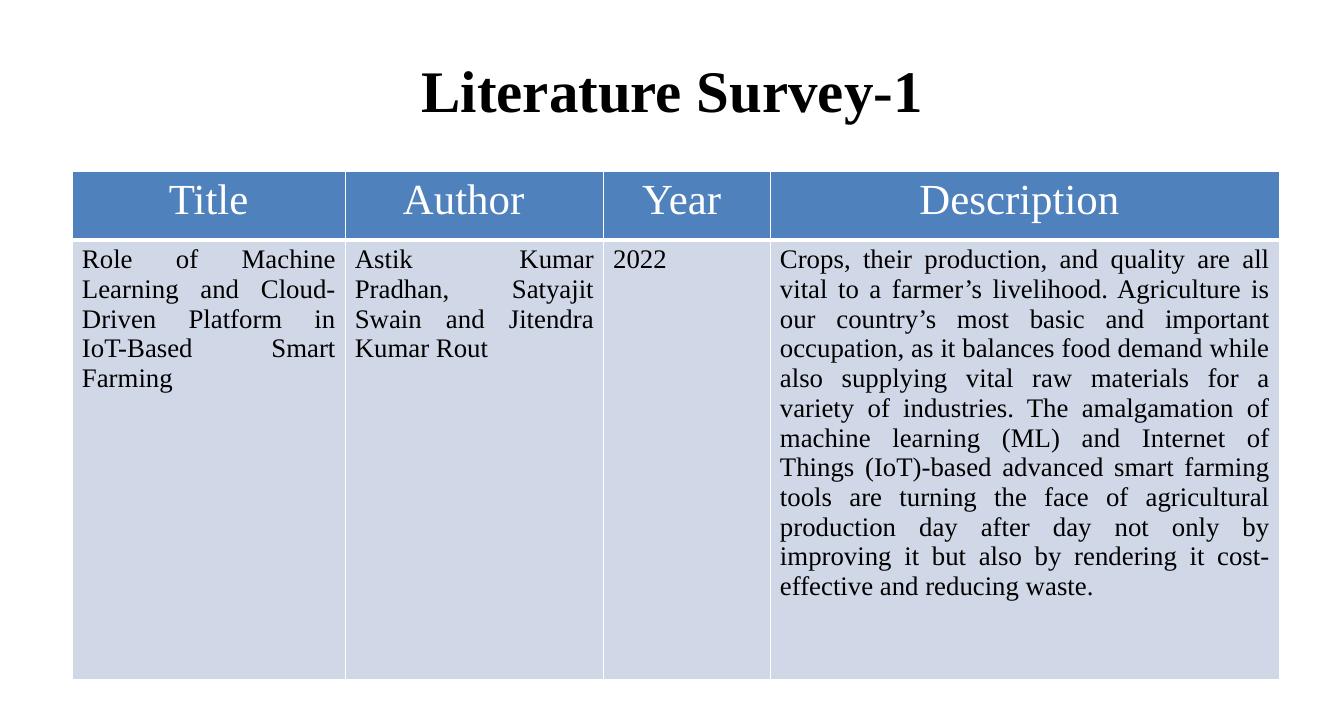
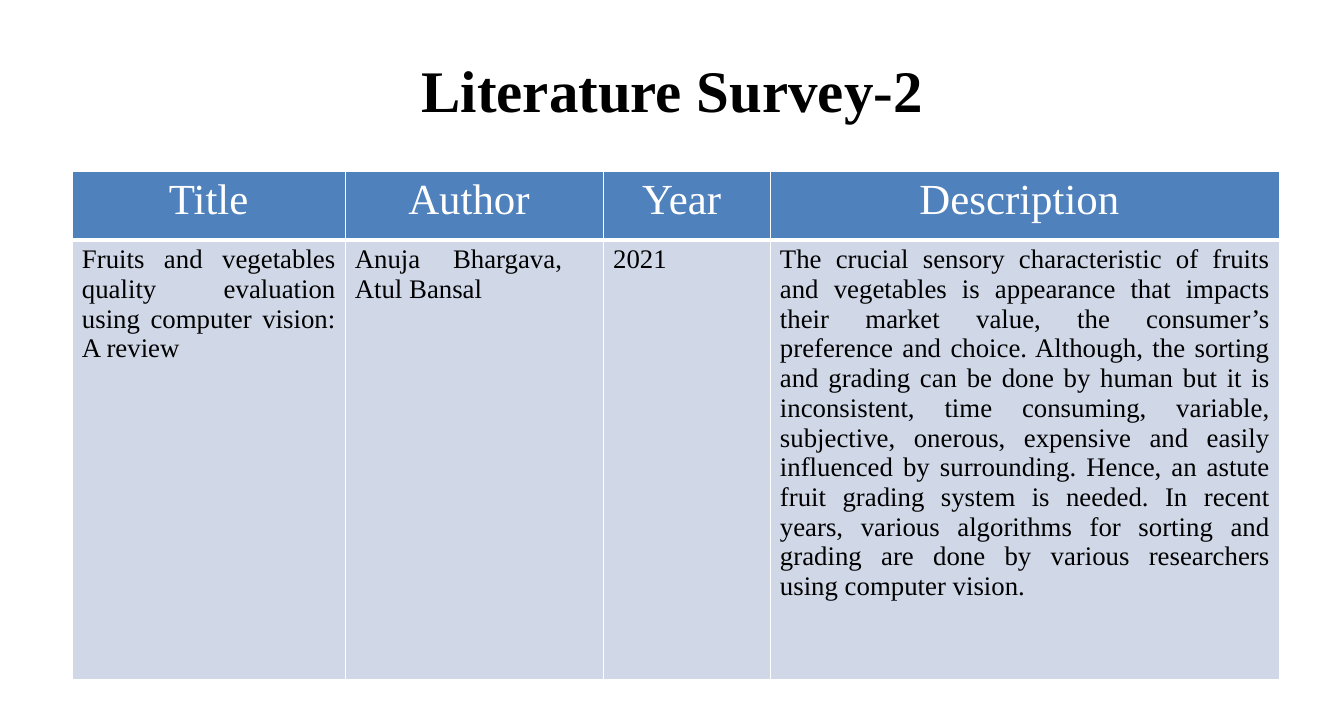
from dataclasses import dataclass

from lxml.etree import SubElement
from pptx import Presentation
from pptx.dml.color import RGBColor
from pptx.enum.text import MSO_ANCHOR as Anchor, PP_ALIGN as Align
from pptx.oxml.ns import qn
from pptx.util import Inches, Pt


@dataclass(frozen=True)
class Theme:
    font: str = "Times New Roman"
    black: str = "000000"
    white: str = "FFFFFF"
    header_fill: str = "4F81BD"
    body_fill: str = "D0D8E8"
    title_size: int = 44
    header_size: int = 32
    body_size: int = 20
    thin: int = 1
    thick: int = 3


@dataclass(frozen=True)
class Entry:
    """Cell text, with extra space kept free at its right."""
    text: str
    inset: float = 0


THEME = Theme()
SLIDE_WIDTH, SLIDE_HEIGHT = 13.94, 7.5
TITLE_BOX = (0.7, 0.3, 12.55, 1.25)
TABLE_LEFT, TABLE_TOP = 0.75, 1.78
COLUMN_WIDTHS = (2.83, 2.68, 1.73, 5.28)
ROW_HEIGHTS = (0.71, 4.56)
CELL_MARGIN = 0.1
HEADER_INSET = 0.11

SURVEYS = (
    {
        "title": "Literature Survey-1",
        "author_inset": 2 * HEADER_INSET,
        "study": (
            Entry("Role of Machine Learning and Cloud-Driven Platform in "
                  "IoT-Based Smart Farming"),
            Entry("Astik Kumar Pradhan, Satyajit Swain and Jitendra Kumar Rout"),
            Entry("2022"),
            Entry("Crops, their production, and quality are all vital to a "
                  "farmer’s livelihood. Agriculture is our country’s most basic "
                  "and important occupation, as it balances food demand while "
                  "also supplying vital raw materials for a variety of "
                  "industries. The amalgamation of machine learning (ML) and "
                  "Internet of Things (IoT)-based advanced smart farming tools "
                  "are turning the face of agricultural production day after "
                  "day not only by improving it but also by rendering it "
                  "cost-effective and reducing waste."),
        ),
    },
    {
        "title": "Literature Survey-2",
        "author_inset": HEADER_INSET,
        "study": (
            Entry("Fruits and vegetables quality evaluation using computer "
                  "vision: A review"),
            Entry("Anuja Bhargava, Atul Bansal", inset=0.33),
            Entry("2021"),
            Entry("The crucial sensory characteristic of fruits and vegetables "
                  "is appearance that impacts their market value, the "
                  "consumer’s preference and choice. Although, the sorting and "
                  "grading can be done by human but it is inconsistent, time "
                  "consuming, variable, subjective, onerous, expensive and "
                  "easily influenced by surrounding. Hence, an astute fruit "
                  "grading system is needed. In recent years, various "
                  "algorithms for sorting and grading are done by various "
                  "researchers using computer vision."),
        ),
    },
)


def write(frame, text, size, color, align, bold=False):
    frame.text = text
    paragraph = frame.paragraphs[0]
    paragraph.alignment = align
    font = paragraph.runs[0].font
    font.name, font.size, font.bold = THEME.font, Pt(size), bold
    font.color.rgb = RGBColor.from_string(color)


def add_title(slide, text):
    title = slide.shapes.title
    title.left, title.top, title.width, title.height = map(Inches, TITLE_BOX)
    title.text_frame.vertical_anchor = Anchor.MIDDLE
    write(title.text_frame, text, THEME.title_size, THEME.black,
          Align.CENTER, bold=True)


def set_borders(cell, bottom):
    properties = cell._tc.get_or_add_tcPr()
    widths = {"a:lnL": THEME.thin, "a:lnR": THEME.thin,
              "a:lnT": THEME.thin, "a:lnB": bottom}
    for side, width in widths.items():
        line = SubElement(properties, qn(side), w=str(Pt(width)))
        fill = SubElement(line, qn("a:solidFill"))
        SubElement(fill, qn("a:srgbClr"), val=THEME.white)


def fill_row(cells, entries, fill, size, color, align, bottom):
    for cell, entry in zip(cells, entries):
        write(cell.text_frame, entry.text, size, color, align)
        cell.margin_right = Inches(CELL_MARGIN + entry.inset)
        set_borders(cell, bottom)
        cell.fill.solid()
        cell.fill.fore_color.rgb = RGBColor.from_string(fill)


def add_survey_table(slide, author_inset, study):
    table = slide.shapes.add_table(
        len(ROW_HEIGHTS), len(COLUMN_WIDTHS),
        Inches(TABLE_LEFT), Inches(TABLE_TOP),
        Inches(sum(COLUMN_WIDTHS)), Inches(sum(ROW_HEIGHTS))).table
    table.horz_banding = False
    for column, width in zip(table.columns, COLUMN_WIDTHS):
        column.width = Inches(width)
    for row, height in zip(table.rows, ROW_HEIGHTS):
        row.height = Inches(height)

    headings = (Entry("Title"), Entry("Author", author_inset),
                Entry("Year", HEADER_INSET), Entry("Description", HEADER_INSET))
    header_row, study_row = table.rows
    fill_row(header_row.cells, headings, THEME.header_fill, THEME.header_size,
             THEME.white, Align.CENTER, THEME.thick)
    fill_row(study_row.cells, study, THEME.body_fill, THEME.body_size,
             THEME.black, Align.JUSTIFY, THEME.thin)


def main():
    deck = Presentation()
    deck.slide_width, deck.slide_height = Inches(SLIDE_WIDTH), Inches(SLIDE_HEIGHT)
    title_only = deck.slide_layouts.get_by_name("Title Only")

    # One slide for each surveyed study
    for survey in SURVEYS:
        slide = deck.slides.add_slide(title_only)
        add_title(slide, survey["title"])
        add_survey_table(slide, survey["author_inset"], survey["study"])

    deck.save("out.pptx")


if __name__ == "__main__":
    main()
